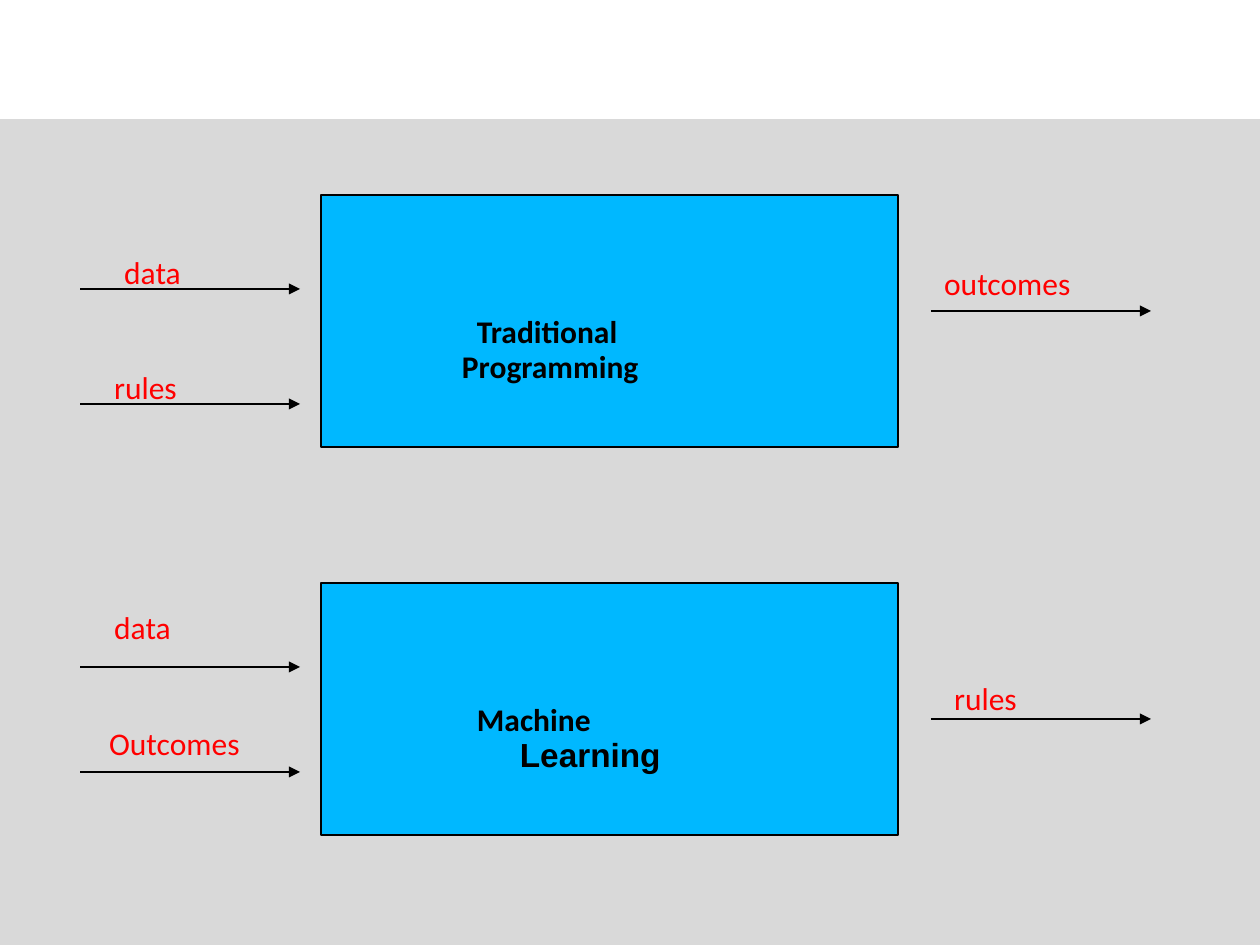
import pptx
import pptx.util
import pptx.dml.color
import pptx.enum.shapes
import pptx.enum.text
import pptx.oxml.ns
from lxml import etree

PX = 6858
W, H = 1260, 945
BAND_TOP = 119
BOX_LEFT, BOX_W, BOX_H = 321, 577, 252
ARROW_W = 220
IN_X, OUT_X = 80, 931
INSET_X = 13
COLORS = {"band": "D9D9D9", "box": "00B8FF", "ink": "000000", "label": "FF0000"}


def px(n):
    return pptx.util.Emu(n * PX)


def rgb(name):
    return pptx.dml.color.RGBColor.from_string(COLORS[name])


def style(p, size, color, font="Calibri", bold=False):
    for r in p.runs:
        r.font.size = pptx.util.Pt(size)
        r.font.name = font
        r.font.bold = bold
        r.font.color.rgb = rgb(color)


def add_rect(s, x, y, w, h, fill):
    sp = s.shapes.add_shape(pptx.enum.shapes.MSO_SHAPE.RECTANGLE,
                            px(x), px(y), px(w), px(h))
    sp.shadow.inherit = False
    sp.fill.solid()
    sp.fill.fore_color.rgb = rgb(fill)
    sp.line.fill.background()
    return sp


def add_arrow(s, x, y):
    c = s.shapes.add_connector(pptx.enum.shapes.MSO_CONNECTOR.STRAIGHT,
                               px(x), px(y), px(x + ARROW_W), px(y))
    c.line.color.rgb = rgb("ink")
    c.line.width = pptx.util.Pt(0.75)
    qn = pptx.oxml.ns.qn
    etree.SubElement(c.line._get_or_add_ln(), qn("a:tailEnd"), type="triangle")
    etree.SubElement(c._element.spPr, qn("a:effectLst"))


def add_label(s, x, y, w, text):
    tf = s.shapes.add_textbox(px(x), px(y), px(w), px(53)).text_frame
    tf.word_wrap = True
    tf.text = text
    style(tf.paragraphs[0], 17, "label")


def add_process_box(s, top, lines):
    """Lines are (text, indent in px, font, size)."""
    sp = add_rect(s, BOX_LEFT, top, BOX_W, BOX_H, "box")
    sp.line.color.rgb = rgb("ink")
    sp.line.width = pptx.util.Pt(0.75)
    tf = sp.text_frame
    tf.word_wrap = True
    tf.vertical_anchor = pptx.enum.text.MSO_ANCHOR.TOP
    tf.margin_left = px(INSET_X)
    tf.margin_top = px(120)
    tf.text = "\n".join(text for text, *_ in lines)
    for p, (_, indent, font, size) in zip(tf.paragraphs, lines):
        p.alignment = pptx.enum.text.PP_ALIGN.LEFT
        p.line_spacing = 0.93
        p._p.get_or_add_pPr().set("marL", str(px(indent)))
        style(p, size, "ink", font, bold=True)


def add_flow(s, top, lines, flows):
    """Flows are (arrow x, arrow dy, label, label dx, label dy, label width)."""
    add_process_box(s, top, lines)
    for x, dy, text, label_dx, label_dy, w in flows:
        add_arrow(s, x, top + dy)
        add_label(s, x + label_dx, top + label_dy, w, text)


def main():
    prs = pptx.Presentation()
    prs.slide_width, prs.slide_height = px(W), px(H)
    s = prs.slides.add_slide(prs.slide_layouts[6])
    add_rect(s, 0, BAND_TOP, W, H - BAND_TOP, "band")
    add_flow(s, 195,
             [("Traditional", 143, "Calibri", 17),
              ("Programming", 128, "Calibri", 17)],
             [(IN_X, 94, "data", 31, 52, 125),
              (IN_X, 209, "rules", 21, 166, 179),
              (OUT_X, 116, "outcomes", 0, 62, 179)])
    add_flow(s, 583,
             [("Machine", 143, "Calibri", 17),
              ("Learning", 186, "Arial", 18)],
             [(IN_X, 84, "data", 21, 18, 125),
              (IN_X, 189, "Outcomes", 16, 134, 189),
              (OUT_X, 136, "rules", 10, 89, 179)])
    prs.save("out.pptx")


if __name__ == "__main__":
    main()
